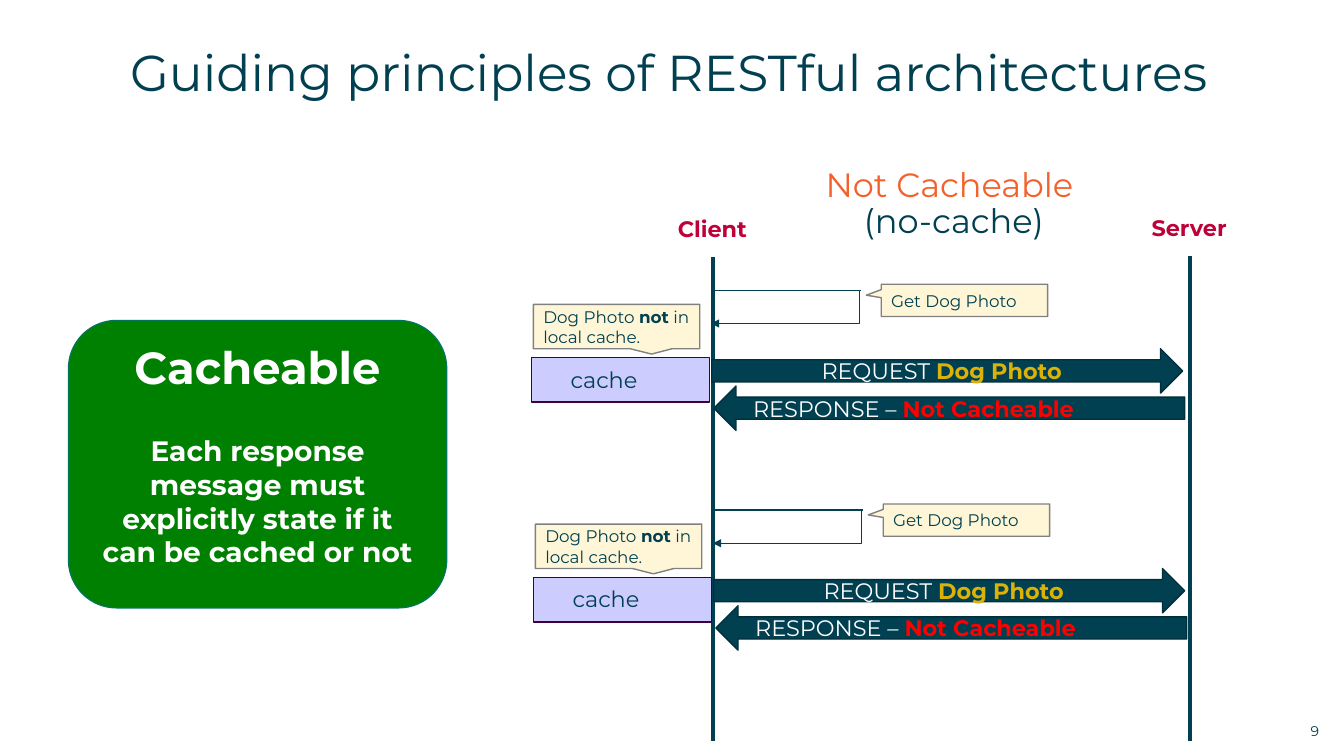
from pptx import Presentation
from pptx.dml.color import RGBColor
from pptx.enum.shapes import MSO_CONNECTOR, MSO_SHAPE
from pptx.enum.text import MSO_ANCHOR, PP_ALIGN
from pptx.oxml.ns import qn
from pptx.util import Inches, Pt
from lxml import etree

LEFT, CENTER = PP_ALIGN.LEFT, PP_ALIGN.CENTER
TOP, MIDDLE = MSO_ANCHOR.TOP, MSO_ANCHOR.MIDDLE
STRAIGHT, ELBOW = MSO_CONNECTOR.STRAIGHT, MSO_CONNECTOR.ELBOW
RECT, ROUNDED = MSO_SHAPE.RECTANGLE, MSO_SHAPE.ROUNDED_RECTANGLE
CALLOUT = MSO_SHAPE.RECTANGULAR_CALLOUT
RIGHT_ARROW, LEFT_ARROW = MSO_SHAPE.RIGHT_ARROW, MSO_SHAPE.LEFT_ARROW

FONT = "Montserrat"
COLORS = {
    "teal": "004050", "dark_teal": "002F3B", "green": "008000",
    "green_edge": "00765B", "white": "FFFFFF", "crimson": "BF0039",
    "gold": "DCB208", "red": "FF0000", "lavender": "CCCCFF",
    "plum": "40003E", "cream": "FEF6D7", "gray": "808080",
    "orange": "F3622C",
}


def rgb(name):
    return RGBColor.from_string(COLORS[name])


def add_runs(p, runs, size=16, color="teal", bold=False, align=LEFT,
             before=None, spacing=None):
    """Fill a paragraph from strings or (text, format changes) pairs."""
    p.alignment = align
    if before is not None:
        p.space_before = Pt(before)
    if spacing is not None:
        p.line_spacing = spacing
    for run in [runs] if isinstance(runs, str) else runs:
        text, changes = (run, {}) if isinstance(run, str) else run
        if text == "\n":
            p.add_line_break()
            continue
        r = p.add_run()
        r.text = text
        r.font.name = FONT
        r.font.size = Pt(size)
        r.font.bold = changes.get("bold", bold)
        r.font.color.rgb = rgb(changes.get("color", color))


def add_label(s, x, y, w, h, runs, inset=True, **fmt):
    tf = s.shapes.add_textbox(Inches(x), Inches(y), Inches(w), Inches(h)).text_frame
    tf.word_wrap = True
    if not inset:
        tf.margin_left = tf.margin_right = tf.margin_top = tf.margin_bottom = 0
    add_runs(tf.paragraphs[0], runs, **fmt)


def add_box(s, kind, x, y, w, h, fill, line, adjust=(), anchor=MIDDLE):
    sp = s.shapes.add_shape(kind, Inches(x), Inches(y), Inches(w), Inches(h))
    sp.shadow.inherit = False
    sp.fill.solid()
    sp.fill.fore_color.rgb = rgb(fill)
    sp.line.color.rgb = rgb(line)
    sp.line.width = Pt(1)
    for i, value in enumerate(adjust):
        sp.adjustments[i] = value
    sp.text_frame.word_wrap = True
    sp.text_frame.vertical_anchor = anchor
    return sp


def add_line(s, x1, y1, x2, y2, width=1, kind=STRAIGHT):
    line = s.shapes.add_connector(kind, Inches(x1), Inches(y1), Inches(x2), Inches(y2))
    line.line.color.rgb = rgb("teal")
    line.line.width = Pt(width)
    etree.SubElement(line._element.spPr, qn("a:effectLst"))
    return line


def add_return_arrow(s, x1, y1, x2, y2):
    """Elbow arrow that turns down close to its start."""
    arrow = add_line(s, x1, y1, x2, y2, kind=ELBOW)
    etree.SubElement(arrow.line._get_or_add_ln(), qn("a:tailEnd"), type="triangle")
    guides = arrow._element.spPr.find(qn("a:prstGeom")).get_or_add_avLst()
    etree.SubElement(guides, qn("a:gd"), name="adj1", fmla="val 1200")


def add_callout(s, x, y, h, tip, runs):
    sp = add_box(s, CALLOUT, x, y, 1.65, h, "cream", "gray", tip)
    add_runs(sp.text_frame.paragraphs[0], runs, size=12)


def add_exchange(s, dx, dy):
    """One uncached round trip between client and server."""
    # Request and response
    sp = add_box(s, RIGHT_ARROW, 7.06 + dx, 3.46 + dy, 4.67, 0.44, "teal", "dark_teal")
    add_runs(sp.text_frame.paragraphs[0],
             ["REQUEST ", ("Dog Photo", {"color": "gold", "bold": True})],
             color="white", align=CENTER)
    sp = add_box(s, LEFT_ARROW, 7.08 + dx, 3.83 + dy, 4.67, 0.44, "teal", "dark_teal")
    sp.text_frame.margin_left = Inches(0.28)
    add_runs(sp.text_frame.paragraphs[0],
             ["RESPONSE – ", ("Not Cacheable", {"color": "red", "bold": True})],
             color="white")

    # Local cache
    add_box(s, RECT, 5.27 + dx, 3.55 + dy, 1.77, 0.44, "lavender", "plum")
    add_label(s, 5.49 + dx, 3.58 + dy, 1, 0.37, "cache", align=CENTER)
    add_callout(s, 5.29 + dx, 3.02 + dy, 0.44, (0.21, 0.62),
                ["Dog Photo ", ("not", {"bold": True}), " in local cache."])

    # Client looks in its own cache
    add_line(s, 7.07 + dx, 2.88 + dy, 8.54 + dx, 2.88 + dy)
    add_return_arrow(s, 8.54 + dx, 2.88 + dy, 7.05 + dx, 3.21 + dy)
    add_callout(s, 8.74 + dx, 2.82 + dy, 0.32, (-0.59, -0.16), "Get Dog Photo")


def main():
    prs = Presentation()
    prs.slide_width, prs.slide_height = Inches(13.33), Inches(7.5)
    s = prs.slides.add_slide(prs.slide_layouts[6])

    # Title
    add_label(s, 1.29, 0.41, 11.5, 0.7,
              "Guiding principles of RESTful architectures", inset=False, size=36)

    # Principle card
    card = add_box(s, ROUNDED, 0.68, 3.18, 3.75, 2.85, "green", "green_edge", anchor=TOP)
    tf = card.text_frame
    add_runs(tf.paragraphs[0], "Cacheable", size=32, color="white", bold=True, align=CENTER)
    add_runs(tf.add_paragraph(),
             "Each response message must explicitly state if it can be cached or not",
             size=20, color="white", bold=True, align=CENTER, before=29)

    # Lifelines
    for name, x, label_x, y in (("Client", 7.07, 6.18, 2.09), ("Server", 11.8, 10.91, 2.08)):
        add_label(s, label_x, y, 1.77, 0.37, name, color="crimson", bold=True, align=CENTER)
        add_line(s, x, y + 0.46, x, 7.35, width=3)

    # Sequence diagram
    add_label(s, 7.62, 1.67, 3.68, 0.75,
              [("Not Cacheable ", {"color": "orange"}), "\n", "(no-cache)"],
              inset=False, size=24, align=CENTER, spacing=0.9)
    for i in range(2):
        add_exchange(s, 0.02 * i, 2.18 * i)

    # Slide number
    add_label(s, 12.9, 7.12, 0.43, 0.2, "9", size=10)

    prs.save("out.pptx")


if __name__ == "__main__":
    main()
